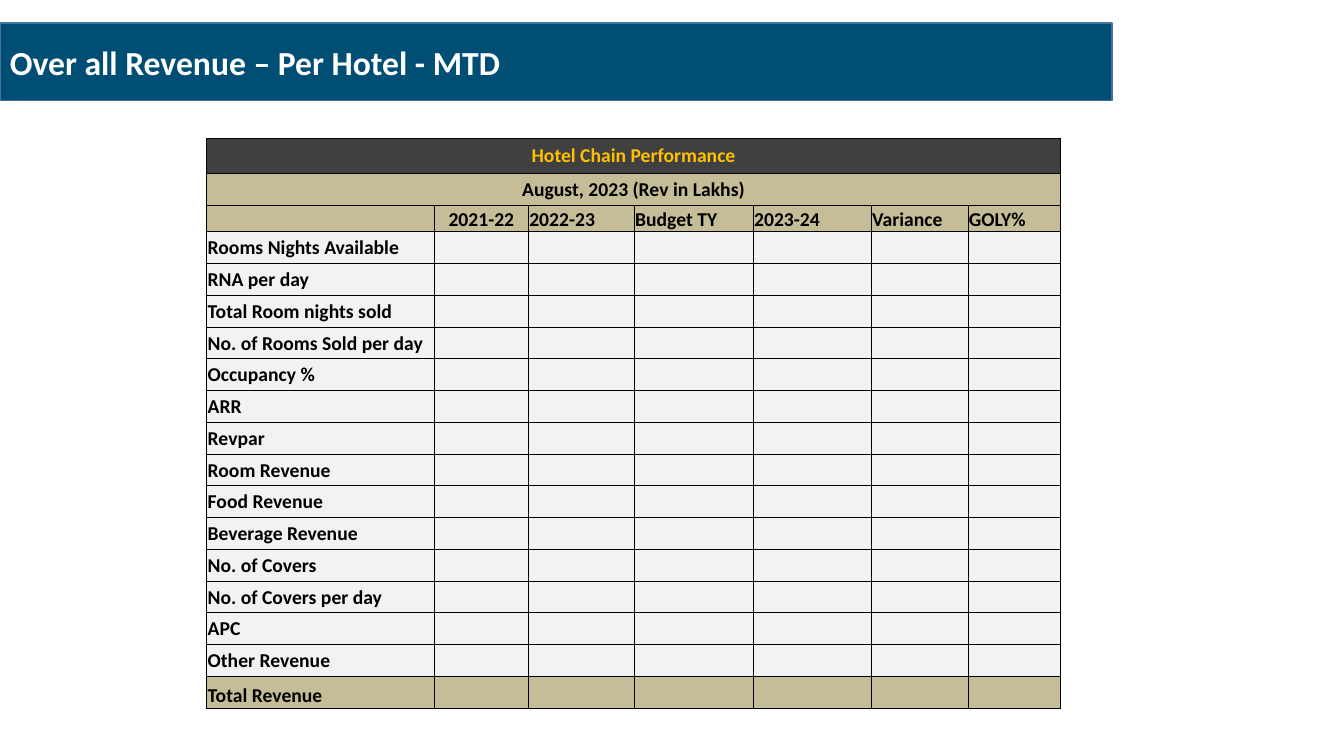
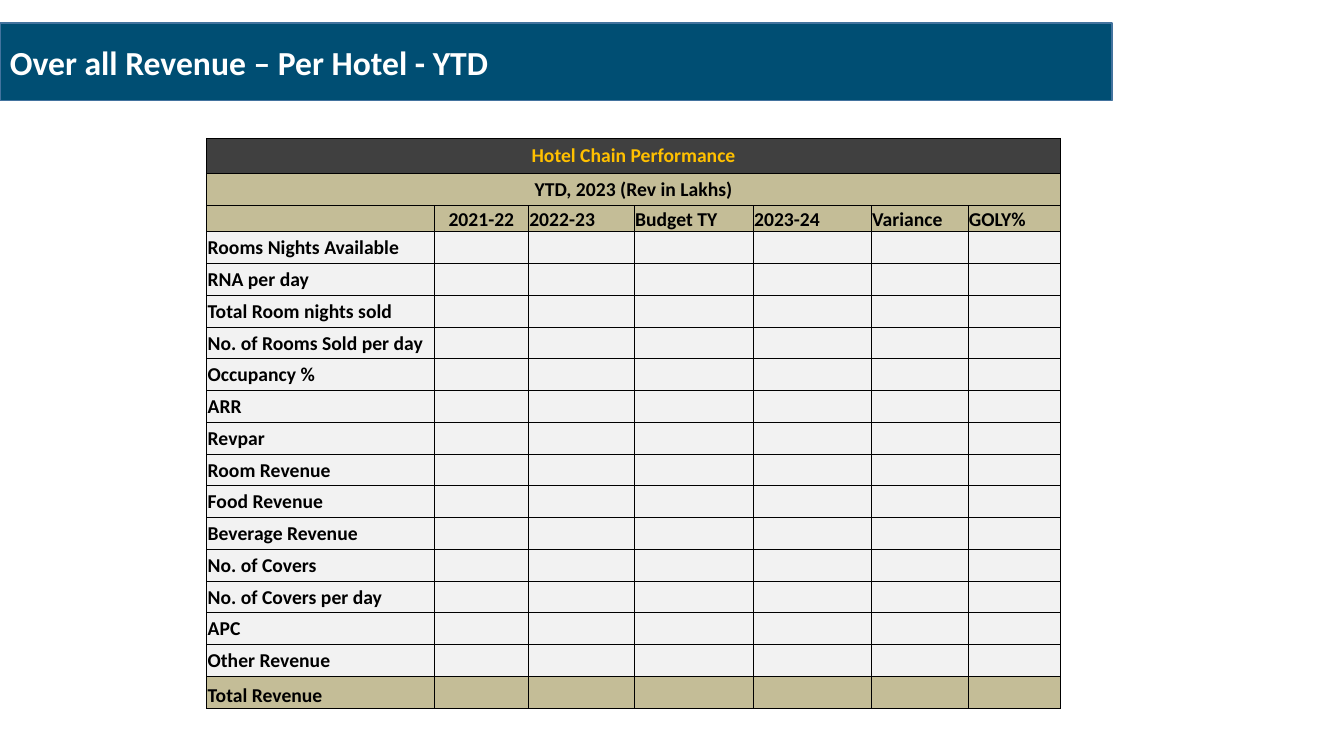
from pptx import Presentation
from pptx.dml.color import RGBColor as RGB
from pptx.enum.shapes import MSO_SHAPE as SHAPE
from pptx.enum.text import MSO_ANCHOR as ANCHOR, PP_ALIGN as ALIGN
from pptx.oxml import parse_xml
from pptx.oxml.ns import nsdecls
from pptx.util import Inches, Pt

W, H = Inches(13.33), Inches(7.5)
COLORS = {"band": "004E73", "band_line": "43739E", "white": "FFFFFF", "dark": "404040",
          "gold": "FFC000", "tan": "C4BD97", "light": "F2F2F2", "black": "000000"}
TITLE_FONT = {"name": "Calibri", "size": Pt(24), "bold": True}
TABLE_FONT = {"name": "Calibri", "size": Pt(14), "bold": True}
CELL_INSETS = {"margin_left": Inches(0.01), "margin_right": Inches(0.01),
               "margin_top": Inches(0.01), "margin_bottom": 0}

TABLE_LEFT, TABLE_TOP, TABLE_HEIGHT = 2.05, 1.37, 5.66
COL_WIDTHS = [2.26, 0.93, 1.05, 1.18, 1.17, 0.96, 0.92]
HEAD_HEIGHTS = [0.35, 0.32, 0.26]

HEADINGS = ["", "2021-22", "2022-23", "Budget TY", "2023-24", "Variance", "GOLY%"]
MEASURES = ["Rooms Nights Available", "RNA per day", "Total Room nights sold",
            "No. of Rooms Sold per day", "Occupancy %", "ARR", "Revpar", "Room Revenue",
            "Food Revenue", "Beverage Revenue", "No. of Covers", "No. of Covers per day",
            "APC", "Other Revenue"]
TOTAL = "Total Revenue"
PERIODS = [("MTD", "August, 2023"), ("YTD", "YTD, 2023")]


def color(name):
    return RGB.from_string(COLORS[name])


def apply(target, values):
    for name, value in values.items():
        setattr(target, name, value)


def paint(shape, name):
    shape.fill.solid()
    shape.fill.fore_color.rgb = color(name)


def write(p, text, font, ink, align=ALIGN.LEFT):
    p.alignment = align
    r = p.add_run()
    r.text = text
    apply(r.font, font)
    r.font.color.rgb = color(ink)


def add_title(s, text):
    sp = s.shapes.add_shape(SHAPE.RECTANGLE, 0, Inches(0.23), Inches(11.03), Inches(0.77))
    sp.shadow.inherit = False
    paint(sp, "band")
    sp.line.color.rgb = color("band_line")
    sp.line.width = Pt(1)
    sp.text_frame.vertical_anchor = ANCHOR.MIDDLE
    write(sp.text_frame.paragraphs[0], text, TITLE_FONT, "white")


def add_borders(cell):
    tc_pr = cell._tc.get_or_add_tcPr()
    for i, side in enumerate(("lnL", "lnR", "lnT", "lnB")):
        tc_pr.insert(i, parse_xml(
            f'<a:{side} {nsdecls("a")} w="{Pt(0.5)}"><a:solidFill>'
            f'<a:srgbClr val="{COLORS["black"]}"/></a:solidFill></a:{side}>'))


def fill_cell(cell, text, fill, ink="black", align=ALIGN.LEFT, anchor=ANCHOR.MIDDLE):
    apply(cell, CELL_INSETS)
    cell.vertical_anchor = anchor
    paint(cell, fill)
    add_borders(cell)
    p = cell.text_frame.paragraphs[0]
    if text:
        write(p, text, TABLE_FONT, ink, align)
    else:  # keeps an empty cell from stretching its row
        p._p.get_or_add_endParaRPr().set("sz", str(TABLE_FONT["size"].centipoints))


def fill_row(tbl, row, texts, fill, **style):
    for col in range(len(COL_WIDTHS)):
        fill_cell(tbl.cell(row, col), texts[col] if col < len(texts) else "", fill, **style)


def add_banner(tbl, row, text, fill, ink):
    """Fill one row that is merged across all columns."""
    fill_row(tbl, row, [text], fill, ink=ink, align=ALIGN.CENTER)
    tbl.cell(row, 0).merge(tbl.cell(row, len(COL_WIDTHS) - 1))


def add_performance_table(s, period):
    body_rows = len(MEASURES) + 1
    body_height = (TABLE_HEIGHT - sum(HEAD_HEIGHTS)) / body_rows
    heights = HEAD_HEIGHTS + [body_height] * body_rows
    tbl = s.shapes.add_table(len(heights), len(COL_WIDTHS), Inches(TABLE_LEFT),
                             Inches(TABLE_TOP), Inches(sum(COL_WIDTHS)),
                             Inches(TABLE_HEIGHT)).table
    apply(tbl, {"first_row": False, "horz_banding": False})
    for column, width in zip(tbl.columns, COL_WIDTHS):
        column.width = Inches(width)
    for row, height in zip(tbl.rows, heights):
        row.height = Inches(height)

    add_banner(tbl, 0, "Hotel Chain Performance", "dark", "gold")
    add_banner(tbl, 1, f"{period} (Rev in Lakhs)", "tan", "black")
    fill_row(tbl, 2, HEADINGS, "tan", anchor=ANCHOR.BOTTOM)
    tbl.cell(2, 1).text_frame.paragraphs[0].alignment = ALIGN.CENTER
    for row, measure in enumerate(MEASURES, len(HEAD_HEIGHTS)):
        fill_row(tbl, row, [measure], "light")
    fill_row(tbl, len(heights) - 1, [TOTAL], "tan", anchor=ANCHOR.BOTTOM)


def main():
    prs = Presentation()
    prs.slide_width, prs.slide_height = W, H
    for span, period in PERIODS:
        s = prs.slides.add_slide(prs.slide_layouts[6])
        add_title(s, f"Over all Revenue – Per Hotel - {span}")
        add_performance_table(s, period)
    prs.save("out.pptx")


if __name__ == "__main__":
    main()
